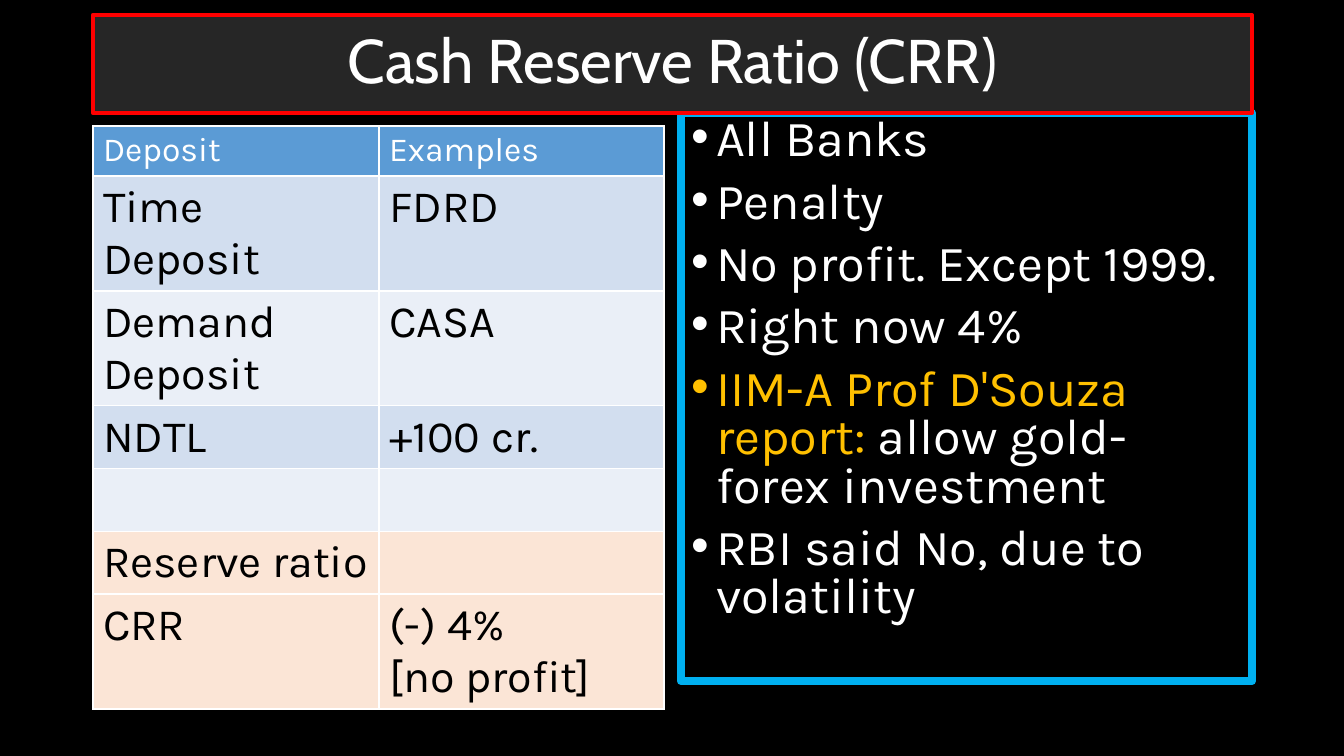
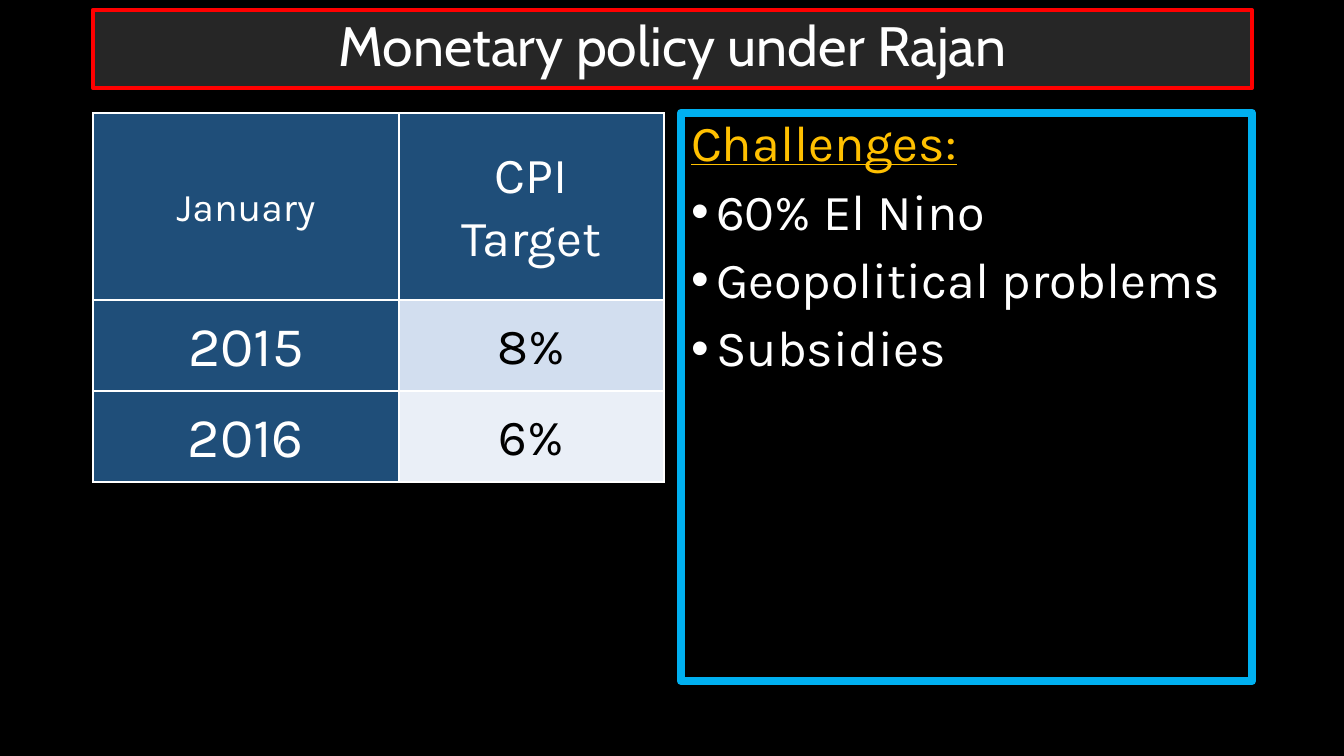
import pptx
import pptx.util
import pptx.dml.color
import pptx.enum.text
import pptx.oxml
import pptx.oxml.ns

RGB = pptx.dml.color.RGBColor
BLACK = RGB(0x00, 0x00, 0x00)
WHITE = RGB(0xFF, 0xFF, 0xFF)
GRAY = RGB(0x26, 0x26, 0x26)
RED = RGB(0xFF, 0x00, 0x00)
CYAN = RGB(0x00, 0xB0, 0xF0)
GOLD = RGB(0xFF, 0xC0, 0x00)
BLUE = RGB(0x5B, 0x9B, 0xD5)
NAVY = RGB(0x1F, 0x4E, 0x79)
MIST = RGB(0xD2, 0xDE, 0xEF)
PALE = RGB(0xEA, 0xEF, 0xF7)
PEACH = RGB(0xFB, 0xE5, 0xD6)

HEAD = "Cabin"
TEXT = "Karla"
WIDE, HIGH = 1344, 756
SCALE = 12192000 / WIDE
LEFT = 93
BODY = (681, 113, 571, 568)
ALIGN = pptx.enum.text.PP_ALIGN
MIDDLE = pptx.enum.text.MSO_ANCHOR.MIDDLE
TOP = pptx.enum.text.MSO_ANCHOR.TOP


def px(n):
    return round(n * SCALE)


def place(shape, box):
    shape.left, shape.top, shape.width, shape.height = map(px, box)


def style(para, name, size, ink):
    font = para.font
    font.name = name
    font.size = pptx.util.Pt(size)
    font.bold = False
    font.color.rgb = ink


def panel(shape, box, fill, edge, width):
    place(shape, box)
    shape.fill.solid()
    shape.fill.fore_color.rgb = fill
    shape.line.color.rgb = edge
    shape.line.width = pptx.util.Pt(width)
    frame = shape.text_frame
    frame.word_wrap = True
    frame.auto_size = pptx.enum.text.MSO_AUTO_SIZE.NONE
    return frame


def add_title(slide, text, top, high, size):
    shape = slide.shapes.title
    frame = panel(shape, (LEFT, top, 1159, high), GRAY, RED, 3)
    frame.vertical_anchor = MIDDLE
    frame.text = text
    para = frame.paragraphs[0]
    para.alignment = ALIGN.CENTER
    para.line_spacing = 0.9
    style(para, HEAD, size, WHITE)
    slide.shapes._spTree.append(shape._element)


def set_mark(para, mark):
    props = para._p.get_or_add_pPr()
    hang = px(25) if mark else 0
    props.set("marL", str(hang))
    props.set("indent", str(-hang))
    bullet = pptx.oxml.ns.qn("a:buChar" if mark else "a:buNone")
    node = props.makeelement(bullet, {"char": "•"} if mark else {})
    props.append(node)


def add_body(slide, items, space, lead=None):
    shape = slide.placeholders[1]
    frame = panel(shape, BODY, BLACK, CYAN, 6)
    frame.vertical_anchor = TOP
    lines = ([[(lead, GOLD)]] if lead else []) + items
    for i, runs in enumerate(lines):
        para = frame.paragraphs[0] if i == 0 else frame.add_paragraph()
        first = lead is not None and i == 0
        para.line_spacing = space
        para.space_before = pptx.util.Pt(10 if i else 0)
        set_mark(para, not first)
        style(para, TEXT, 36, runs[-1][1])
        if first:
            para.font.underline = True
        for text, ink in runs:
            run = para.add_run()
            run.text = text
            if ink != runs[-1][1]:
                run.font.color.rgb = ink
    slide.shapes._spTree.append(shape._element)


def add_edges(cell):
    props = cell._tc.get_or_add_tcPr()
    space = pptx.oxml.ns.nsdecls("a")
    for side in "LRTB":
        props.append(pptx.oxml.parse_xml(
            f'<a:ln{side} {space} w="12700"><a:solidFill>'
            f'<a:srgbClr val="{WHITE}"/></a:solidFill></a:ln{side}>'))


def fill_cell(cell, text, size, ink, fill, center):
    add_edges(cell)
    cell.fill.solid()
    cell.fill.fore_color.rgb = fill
    if center:
        cell.vertical_anchor = MIDDLE
        cell.margin_left = cell.margin_right = px(9)
        cell.margin_top = cell.margin_bottom = 0
    cell.text = text
    for para in cell.text_frame.paragraphs:
        if center:
            para.alignment = ALIGN.CENTER
            para.line_spacing = 1.07
        style(para, TEXT, size, ink)


def add_grid(slide, top, cols, highs, rows, center=False):
    box = (LEFT, top, sum(cols), sum(highs))
    table = slide.shapes.add_table(
        len(rows), len(cols), *map(px, box)).table
    table.first_row = table.horz_banding = False
    for col, wide in zip(table.columns, cols):
        col.width = px(wide)
    for row, high, cells in zip(table.rows, highs, rows):
        row.height = px(high)
        for cell, data in zip(row.cells, cells):
            fill_cell(cell, *data, center)


def ratio_slide(deck):
    slide = deck.slides.add_slide(deck.slide_layouts[1])
    pairs = [
        ("Deposit", "Examples", BLUE),
        ("Time Deposit", "FDRD", MIST),
        ("Demand Deposit", "CASA", PALE),
        ("NDTL", "+100 cr.", MIST),
        ("", "", PALE),
        ("Reserve ratio", "", PEACH),
        ("CRR", "(-) 4%\n[no profit]", PEACH),
    ]
    rows = []
    for *texts, fill in pairs:
        size, ink = (24, WHITE) if fill == BLUE else (32, BLACK)
        rows.append([(text, size, ink, fill) for text in texts])
    add_grid(slide, 126, (286, 285), (50, 115, 115, 62, 63, 62, 115), rows)
    add_body(slide, [
        [("All Banks", WHITE)],
        [("Penalty", WHITE)],
        [("No profit. Except 1999.", WHITE)],
        [("Right now 4%", WHITE)],
        [("IIM-A Prof D'Souza report: ", GOLD),
         ("allow gold-forex investment", WHITE)],
        [("RBI said No, due to volatility", WHITE)],
    ], 0.8)
    add_title(slide, "Cash Reserve Ratio (CRR)", 15, 98, 44)


def policy_slide(deck):
    slide = deck.slides.add_slide(deck.slide_layouts[1])
    rows = [
        [("January", 28, WHITE, NAVY), ("CPI\nTarget", 36, WHITE, NAVY)],
        [("2015", 40, WHITE, NAVY), ("8%", 36, BLACK, MIST)],
        [("2016", 40, WHITE, NAVY), ("6%", 36, BLACK, PALE)],
    ]
    add_grid(slide, 113, (306, 265), (187, 91, 91), rows, True)
    items = ["60% El Nino", "Geopolitical problems", "Subsidies"]
    add_body(slide, [[(item, WHITE)] for item in items], 0.9, "Challenges:")
    add_title(slide, "Monetary policy under Rajan", 10, 78, 39.6)


def main():
    deck = pptx.Presentation()
    deck.slide_width, deck.slide_height = px(WIDE), px(HIGH)
    back = deck.slide_master.background.fill
    back.solid()
    back.fore_color.rgb = BLACK
    ratio_slide(deck)
    policy_slide(deck)
    deck.save("out.pptx")


if __name__ == "__main__":
    main()
